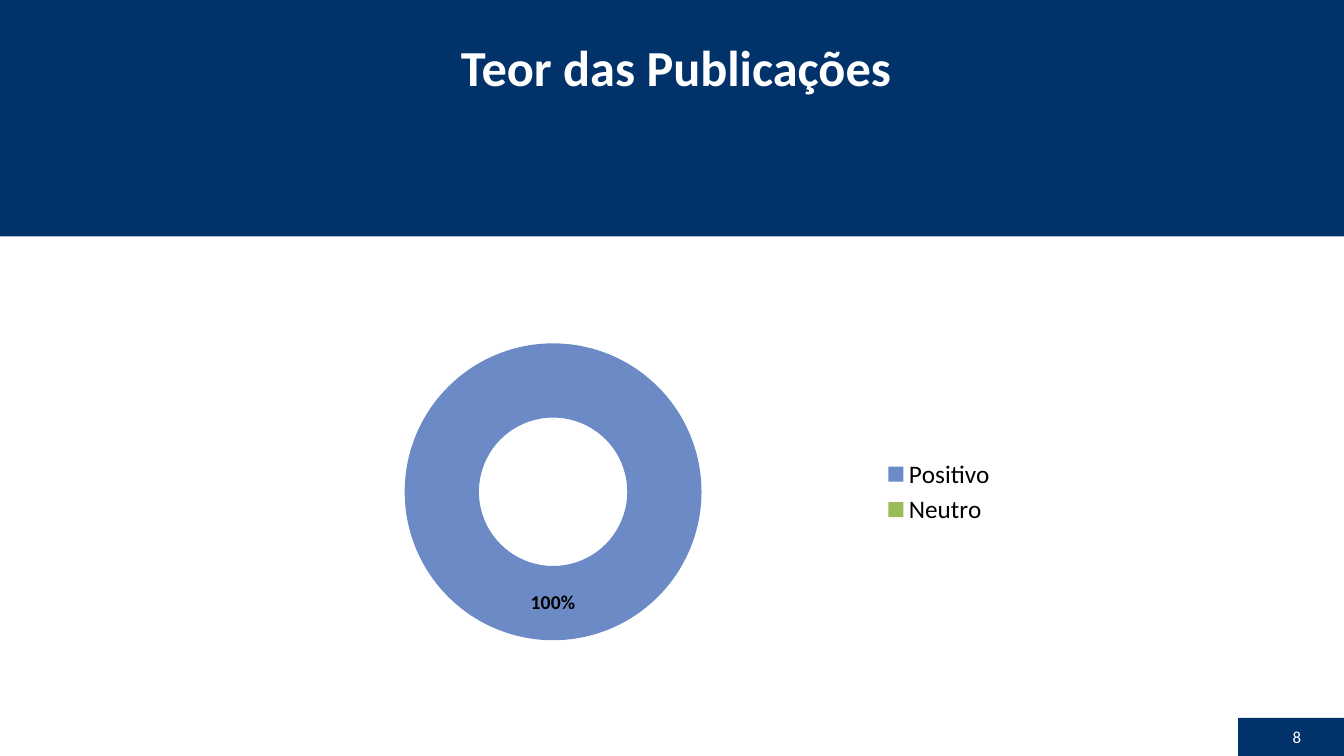
from lxml import etree
from pptx import Presentation
from pptx import util as u
from pptx.chart.data import CategoryChartData
from pptx.dml.color import RGBColor
from pptx.enum import chart as ch, shapes, text

COLORS = {"navy": "01336A", "white": "FFFFFF", "black": "000000",
          "": "4F81BD", "Positivo": "6C8BC6", "Neutro": "9BBB59"}
VALUES = {"": None, "Positivo": 1, "Neutro": 0}
FONT = "Calibri"


def style(font, size, color, bold=False):
    font.name, font.size, font.bold = FONT, u.Pt(size), bold
    font.color.rgb = RGBColor.from_string(COLORS[color])


def write(sp, wording, size, align, bold=False):
    tf = sp.text_frame
    tf.word_wrap = True
    tf.auto_size = text.MSO_AUTO_SIZE.NONE
    tf.vertical_anchor = text.MSO_ANCHOR.MIDDLE
    p = tf.paragraphs[0]
    p.text, p.alignment = wording, align
    style(p.font, size, "white", bold)
    return p


prs = Presentation()
prs.slide_width, prs.slide_height = u.Cm(33.87), u.Cm(19.05)
s = prs.slides.add_slide(prs.slide_layouts[5])

header = (0, 0, 33.87, 5.96)
number_tab = (31.2, 18.09, 2.67, 0.96)
for box in (header, number_tab):
    sp = s.shapes.add_shape(shapes.MSO_SHAPE.RECTANGLE, *map(u.Cm, box))
    sp.shadow.inherit = False
    sp.fill.solid()
    sp.fill.fore_color.rgb = RGBColor.from_string(COLORS["navy"])
    sp.line.fill.background()

title = s.shapes.title
title.left, title.top, title.width, title.height = map(u.Cm, (1.04, 0.72, 32, 2.1))
s.shapes.element.append(title.element)
p = write(title, "Teor das Publicações", 36, text.PP_ALIGN.CENTER, True)
p.line_spacing = 0.9

number = s.shapes.add_textbox(*map(u.Cm, (32, 18.28, 1.04, 0.58)))
write(number, "8", 12, text.PP_ALIGN.RIGHT)

data = CategoryChartData(number_format="0%")
data.categories = list(VALUES)
data.add_series("Series 1", list(VALUES.values()))
chart = s.shapes.add_chart(ch.XL_CHART_TYPE.DOUGHNUT,
                           *map(u.Cm, (5.67, 8.28, 19.69, 8.23)), data).chart
chart.has_title = False
style(chart.font, 10, "black")
chart.has_legend = True
legend = chart.legend
legend.position = ch.XL_LEGEND_POSITION.RIGHT
legend.include_in_layout = False
style(legend.font, 18, "black")

plot = chart.plots[0]
plot.vary_by_categories = True
series = plot.series[0]
for i, name in enumerate(VALUES):
    fill = series.points[i].format.fill
    fill.solid()
    fill.fore_color.rgb = RGBColor.from_string(COLORS[name])
labels = series.data_labels
labels.show_value = True
labels.show_percentage = False
labels.number_format = "0%;;"
labels.number_format_is_linked = False
style(labels.font, 14, "black", True)

area = chart.element.chart.plotArea
ns = area.nsmap["c"]
entry = etree.Element(f"{{{ns}}}legendEntry")
etree.SubElement(entry, f"{{{ns}}}idx", val="0")
etree.SubElement(entry, f"{{{ns}}}delete", val="1")
legend_xml = chart.element.chart.find(f"{{{ns}}}legend")
legend_xml.find(f"{{{ns}}}legendPos").addnext(entry)

for old in area.findall(f"{{{ns}}}layout"):
    area.remove(old)
layout = etree.Element(f"{{{ns}}}layout")
manual = etree.SubElement(layout, f"{{{ns}}}manualLayout")
for tag, val in (("layoutTarget", "inner"), ("xMode", "edge"), ("yMode", "edge"),
                 ("x", 0.23), ("y", 0.04), ("w", 0.38), ("h", 0.92)):
    etree.SubElement(manual, f"{{{ns}}}{tag}", val=str(val))
area.insert(0, layout)

prs.save("out.pptx")
